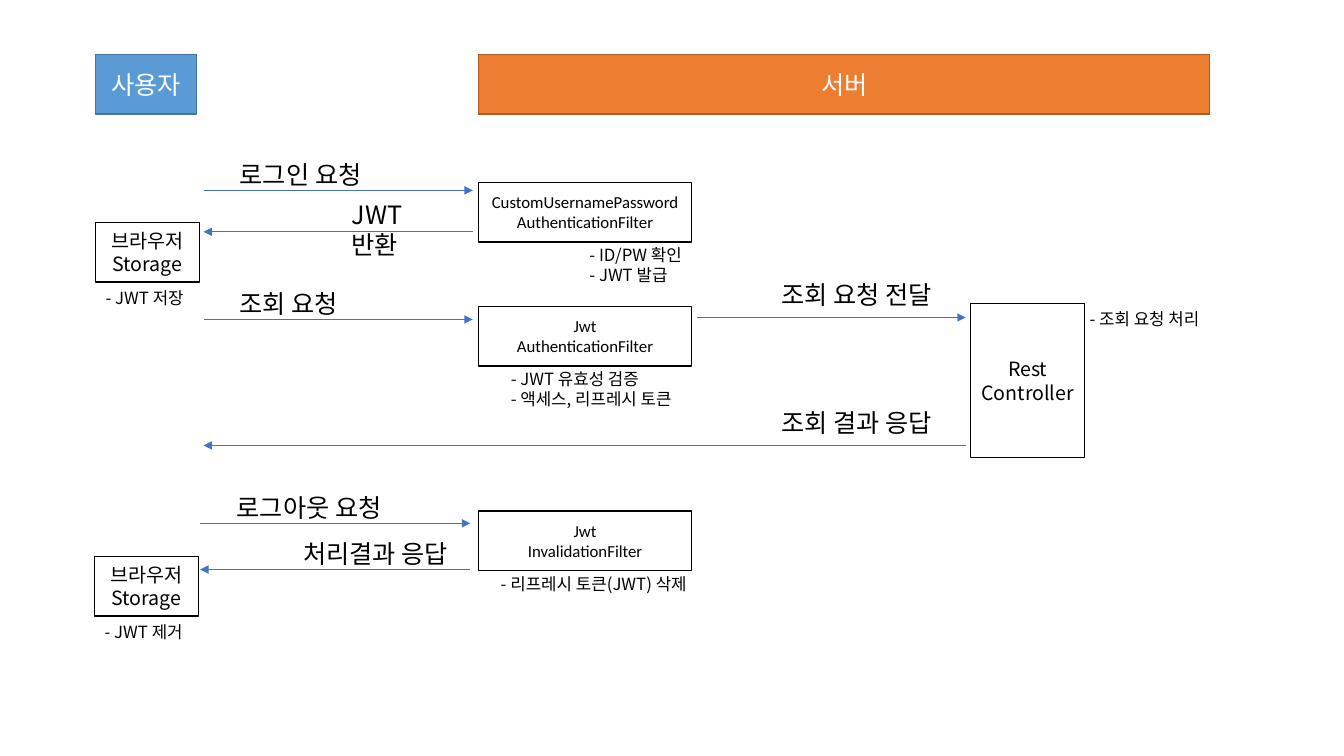
from lxml.etree import SubElement
from pptx import Presentation
from pptx.dml.color import RGBColor as RGB
from pptx.enum.shapes import MSO_CONNECTOR as Conn, MSO_SHAPE as Kind
from pptx.enum.text import MSO_ANCHOR as Anchor, PP_ALIGN as Align
from pptx.oxml.ns import qn
from pptx.util import Pt

BLUE, NAVY = RGB(0x5B, 0x9B, 0xD5), RGB(0x43, 0x73, 0x9E)
ORANGE, RUST = RGB(0xED, 0x7D, 0x31), RGB(0xAF, 0x5C, 0x24)
ARROW = RGB(0x44, 0x72, 0xC4)
BLACK, WHITE = RGB(0, 0, 0), RGB(255, 255, 255)
NOTO, LATIN = "Noto Sans CJK KR", "Calibri"

# Lanes: left edges and widths
USER, FILTER, REST = 68.4, 342, 693.4
FILTER_W, REST_W, ROW_H = 152, 81.4, 42.5
GAP = 3.6


def write(frame, text, size, color, face=NOTO, align=Align.LEFT):
    frame.word_wrap = True
    frame.text = text
    for para in frame.paragraphs:
        para.alignment = align
        font = para.font
        font.size, font.name = Pt(size), face
        font.color.rgb = color
        east = SubElement(font._element, qn("a:ea"))
        east.set("typeface", face)
        if face == NOTO:
            para.line_spacing = Pt(size * 1.2)


def block(slide, x, y, w, h, text, size=14, face=NOTO,
          fill=WHITE, edge=BLACK, ink=BLACK):
    box = slide.shapes.add_shape(Kind.RECTANGLE, Pt(x), Pt(y), Pt(w), Pt(h))
    box.shadow.inherit = False
    box.fill.solid()
    box.fill.fore_color.rgb = fill
    box.line.color.rgb = edge
    box.line.width = Pt(1)
    box.text_frame.vertical_anchor = Anchor.MIDDLE
    write(box.text_frame, text, size, ink, face, Align.CENTER)


def label(slide, x, y, w, text, size=12):
    high = 7.2 + size * 1.2 * (text.count("\n") + 1)
    box = slide.shapes.add_textbox(Pt(x), Pt(y), Pt(w), Pt(high))
    write(box.text_frame, text, size, BLACK)


def hop(slide, start, end, y, text, x, w, rise=26):
    """Arrow from start to end, with its caption above."""
    line = slide.shapes.add_connector(
        Conn.STRAIGHT, Pt(start), Pt(y), Pt(end), Pt(y))
    line.line.color.rgb = ARROW
    line.line.width = Pt(0.5)
    props = line._element.spPr
    SubElement(props.get_or_add_ln(), qn("a:tailEnd")).set("type", "triangle")
    SubElement(props, qn("a:effectLst"))
    label(slide, x, y - rise, w, text, 18)


def store(slide, x, y, note):
    block(slide, x, y, 74.2, ROW_H, "브라우저\vStorage")
    label(slide, x, y + 43.2, 75, note)


def stage(slide, y, name, note, shift, w):
    """Filter box with its note below, indented by shift."""
    block(slide, FILTER, y, FILTER_W, ROW_H, name, 12, LATIN)
    label(slide, FILTER + shift, y + 41, w, note)


def header(slide, y):
    block(slide, USER, y, 72, ROW_H, "사용자", 18,
          fill=BLUE, edge=NAVY, ink=WHITE)
    block(slide, FILTER, y, 522, ROW_H, "서버", 18,
          fill=ORANGE, edge=RUST, ink=WHITE)


def login(slide, y):
    near, far = 145.4, 337.7
    store(slide, USER, y + 49, "- JWT 저장")
    stage(slide, y + 20.3, "CustomUsernamePasswordAuthenticationFilter",
          "- ID/PW 확인\n- JWT 발급", 72, 88)
    hop(slide, near, far, y + 26, "로그인 요청", 164.2, 112)
    hop(slide, far, near, y + 55.6, "JWT\v반환", 244.1, 91.4, 26.6)


def query(slide, y):
    near, far = 145.4, REST - GAP
    # Filter and controller
    stage(slide, y + 22.3, "Jwt\vAuthenticationFilter",
          "- JWT 유효성 검증\n- 액세스, 리프레시 토큰", 15.8, 144)
    block(slide, REST, y + 20.1, REST_W, 110.2, "Rest\vController")
    label(slide, REST + REST_W - GAP, y + 20.1, 105, "- 조회 요청 처리")
    # Request there, answer back
    hop(slide, near, 337.7, y + 31.6, "조회 요청", 164.2, 94)
    hop(slide, FILTER + FILTER_W + GAP, far, y + 30.2,
        "조회 요청 전달", 551, 136.5, 30.5)
    hop(slide, far, near, y + 121.6, "조회 결과 응답", 551, 136.5, 30.5)


def logout(slide, y):
    near, far = 143, 335.9
    store(slide, USER - 0.7, y + 49.7, "- JWT 제거")
    stage(slide, y + 17.3, "Jwt\nInvalidationFilter",
          "- 리프레시 토큰(JWT) 삭제", 8.6, 159)
    hop(slide, near, far, y + 26, "로그아웃 요청", 162, 130.3)
    hop(slide, far, near, y + 59, "처리결과 응답", 209.5, 130.3)


def main():
    deck = Presentation()
    deck.slide_width, deck.slide_height = Pt(960), Pt(540)
    slide = deck.slides.add_slide(deck.slide_layouts[6])
    header(slide, 38.9)
    login(slide, 110)
    query(slide, 196.6)
    logout(slide, 347.8)
    deck.save("out.pptx")


if __name__ == "__main__":
    main()
